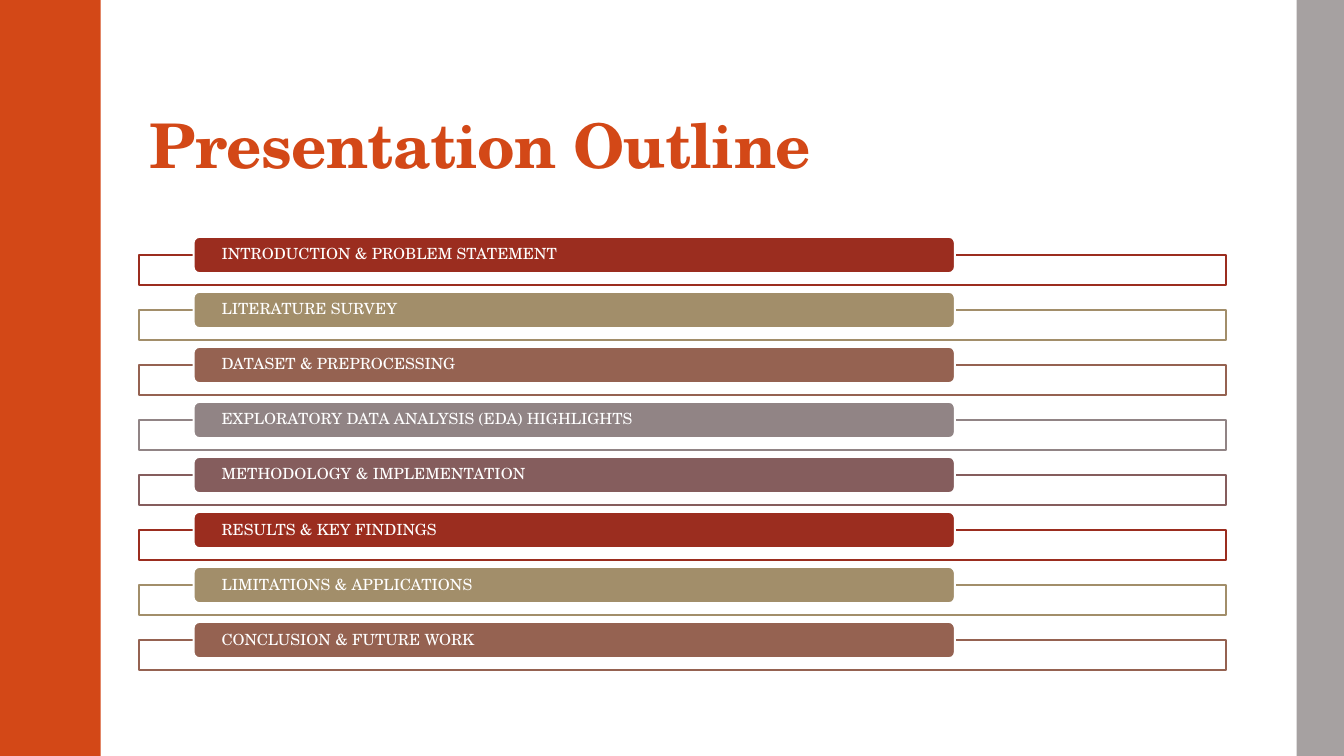
from pptx import Presentation
from pptx.dml.color import RGBColor
from pptx.enum.shapes import MSO_SHAPE
from pptx.enum.text import MSO_ANCHOR, PP_ALIGN
from pptx.oxml.ns import qn
from pptx.util import Inches, Pt
from lxml import etree

RECT, ROUND = MSO_SHAPE.RECTANGLE, MSO_SHAPE.ROUNDED_RECTANGLE
MIDDLE, BOTTOM = MSO_ANCHOR.MIDDLE, MSO_ANCHOR.BOTTOM
LEFT = PP_ALIGN.LEFT

# Content
TITLE = "Presentation Outline"
TOPICS = [
    "INTRODUCTION & PROBLEM STATEMENT",
    "LITERATURE SURVEY",
    "DATASET & PREPROCESSING",
    "EXPLORATORY DATA ANALYSIS (EDA) HIGHLIGHTS",
    "METHODOLOGY & IMPLEMENTATION",
    "RESULTS & KEY FINDINGS",
    "LIMITATIONS & APPLICATIONS",
    "CONCLUSION & FUTURE WORK",
]

THEME = {
    "font": "TeX Gyre Schola",
    "title_size": 44, "topic_size": 11,
    "orange": "D34817", "gray": "A6A1A1", "white": "FFFFFF",
    "accents": ["9B2D1F", "A28E6A", "956251", "918485", "855D5D"],
    "frame_line": 1.1, "bar_line": 1.35,
}

# Layout in inches
SLIDE_W, SLIDE_H = 13.33, 7.5
GRAY_LEFT = 12.86
CONTENT_LEFT, CONTENT_W = 1.38, 10.78
FIRST_TOP, LAST_TOP = 2.53, 6.35
PITCH = (LAST_TOP - FIRST_TOP) / (len(TOPICS) - 1)
FRAME_H = 0.3
BAR_LEFT, BAR_W, BAR_H, BAR_RISE = 1.92, 7.55, 0.36, 0.18


def add_box(s, kind, at, fill, line=None, width=0):
    sp = s.shapes.add_shape(kind, *map(Inches, at))
    sp.shadow.inherit = False
    sp.fill.solid()
    sp.fill.fore_color.rgb = RGBColor.from_string(fill)
    if line:
        sp.line.color.rgb = RGBColor.from_string(line)
        sp.line.width = Pt(width)
    else:
        sp.line.fill.background()
    return sp


def set_text(sp, text, insets, anchor, size, color, bold):
    tf = sp.text_frame
    sides = ("margin_left", "margin_top", "margin_right", "margin_bottom")
    for side, inset in zip(sides, insets):
        setattr(tf, side, Inches(inset))
    tf.word_wrap = True
    tf.vertical_anchor = anchor
    p = tf.paragraphs[0]
    p.alignment = LEFT
    p.line_spacing = 0.9
    r = p.add_run()
    r.text = text
    style = {"name": THEME["font"], "size": Pt(size), "bold": bold}
    for name, value in style.items():
        setattr(r.font, name, value)
    r.font.color.rgb = RGBColor.from_string(color)
    return r


prs = Presentation()
prs.slide_width, prs.slide_height = Inches(SLIDE_W), Inches(SLIDE_H)
s = prs.slides.add_slide(prs.slide_layouts[5])

# Side bands
add_box(s, RECT, (0, 0, 1, SLIDE_H), THEME["orange"])
add_box(s, RECT, (GRAY_LEFT, 0, SLIDE_W - GRAY_LEFT, SLIDE_H), THEME["gray"])

# Title
title = s.shapes.title
title.left, title.top, title.width, title.height = map(
    Inches, (CONTENT_LEFT, 0.32, CONTENT_W, 1.53))
r = set_text(title, TITLE, (0.1, 0.03, 0.1, 0.05), BOTTOM,
             THEME["title_size"], THEME["orange"], True)
r.font._element.set("spc", "-50")

# Outline rows: a thin frame with a labelled bar over its top edge
for i, topic in enumerate(TOPICS):
    top = FIRST_TOP + i * PITCH
    accent = THEME["accents"][i % len(THEME["accents"])]
    frame = add_box(s, RECT, (CONTENT_LEFT, top, CONTENT_W, FRAME_H),
                    THEME["white"], accent, THEME["frame_line"])
    fill_color = frame.fill._xPr.find(qn("a:solidFill"))[0]
    etree.SubElement(fill_color, qn("a:alpha"), val="90000")
    bar = add_box(s, ROUND, (BAR_LEFT, top - BAR_RISE, BAR_W, BAR_H),
                  accent, THEME["white"], THEME["bar_line"])
    set_text(bar, topic, (0.26, 0, 0.26, 0), MIDDLE,
             THEME["topic_size"], THEME["white"], False)

prs.save("out.pptx")
